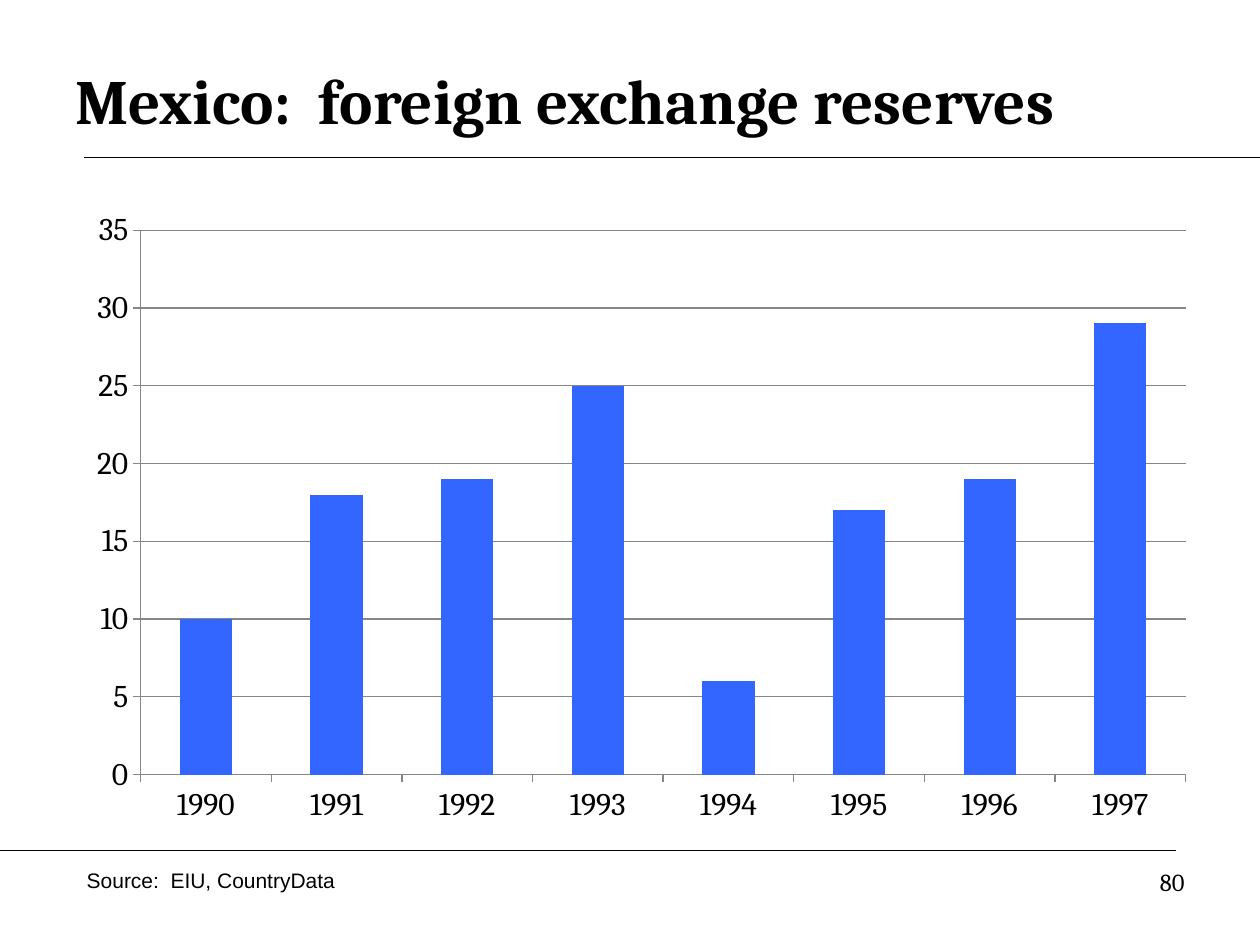
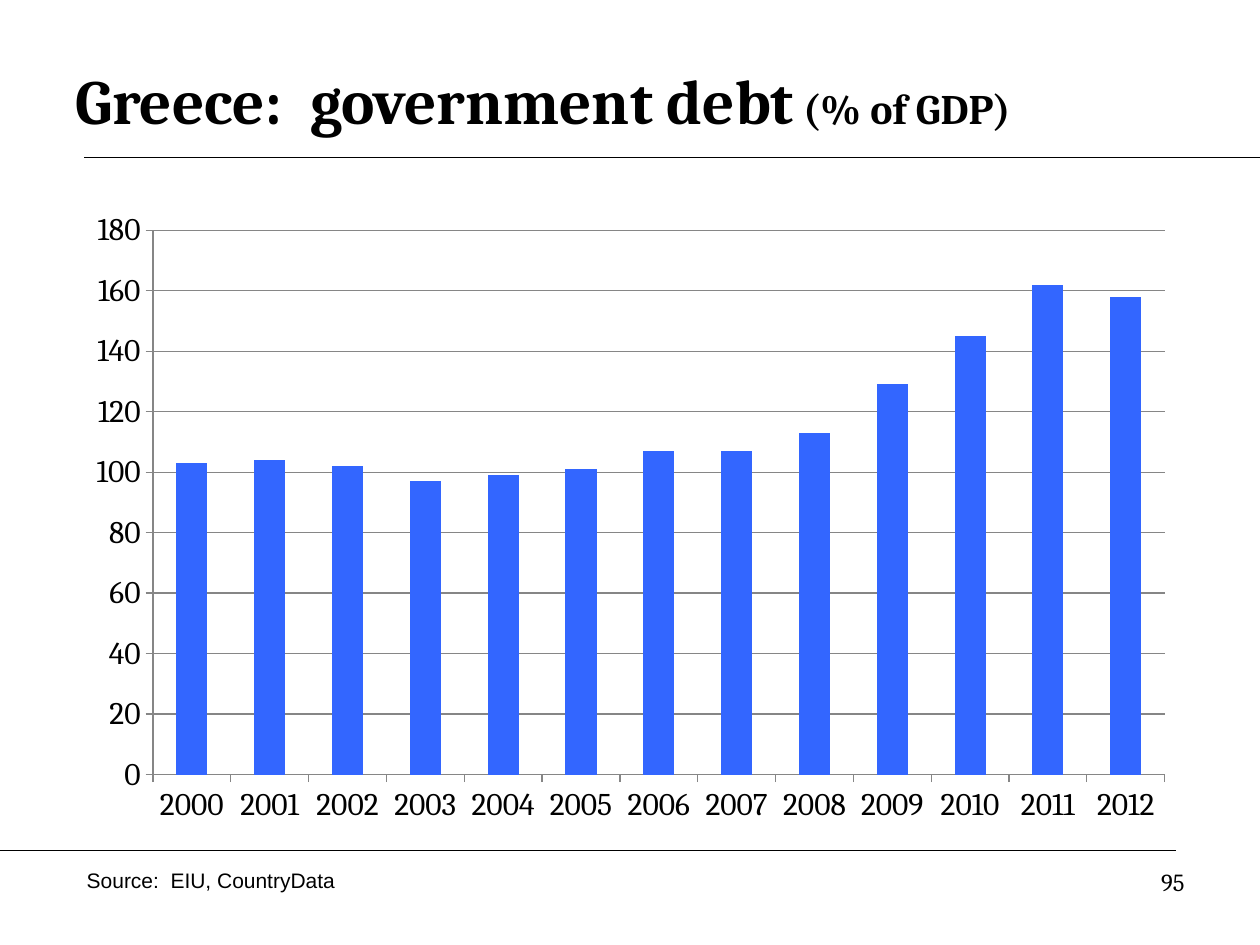
import pptx
import pptx.chart.data
import pptx.dml.color
import pptx.enum.chart
import pptx.enum.shapes
import pptx.enum.text
import pptx.oxml
import pptx.oxml.ns
import pptx.util
from pptx.util import Inches

BLACK = "000000"
BAR_BLUE = "3366FF"
AXIS_GRAY = "868686"
SERIF = "Cambria"
SANS = "Arial"
TITLE_BOX = (0.5, 0.33, 9, 0.92)
NUMBER_BOX = (7.17, 6.83, 2.33, 0.52)
SOURCE_BOX = (0.59, 6.84, 4.83, 0.3)
RULES = [(0.67, 1.25, 10, 1.25), (0, 6.75, 9.33, 6.75)]
SOURCE = "Source:  EIU, CountryData"

SLIDES = [
    {
        "title": [("Mexico:  foreign exchange reserves", 36)],
        "number": 80,
        "chart_box": (0.59, 1.58, 9, 5.06),
        "first_year": 1990,
        "values": [10, 18, 19, 25, 6, 17, 19, 29],
        "maximum": 35,
        "step": 5,
    },
    {
        "title": [("Greece:  government debt", 36), (" (% of GDP)", 24)],
        "number": 95,
        "chart_box": (0.59, 1.58, 8.83, 5.06),
        "first_year": 2000,
        "values": [103, 104, 102, 97, 99, 101, 107, 107, 113, 129, 145, 162, 158],
        "maximum": 180,
        "step": 20,
    },
]


def color(value):
    """Turn a hex string into a colour."""
    return pptx.dml.color.RGBColor.from_string(value)


def add_text(slide, box, runs, font=SERIF, bold=False, align="LEFT", anchor="TOP"):
    """Add a one-paragraph text box from (text, size) runs."""
    frame = slide.shapes.add_textbox(*map(Inches, box)).text_frame
    frame.word_wrap = True
    frame.vertical_anchor = getattr(pptx.enum.text.MSO_ANCHOR, anchor)
    paragraph = frame.paragraphs[0]
    paragraph.alignment = getattr(pptx.enum.text.PP_ALIGN, align)
    for text, size in runs:
        run = paragraph.add_run()
        run.text = text
        run.font.size = pptx.util.Pt(size)
        run.font.name = font
        run.font.bold = bold
        run.font.color.rgb = color(BLACK)


def add_rule(slide, ends):
    """Draw a thin black line between two points."""
    line = slide.shapes.add_connector(
        pptx.enum.shapes.MSO_CONNECTOR.STRAIGHT, *map(Inches, ends))
    line.line.color.rgb = color(BLACK)
    line.line.width = pptx.util.Pt(0.75)
    properties = line._element.spPr
    properties.append(pptx.oxml.parse_xml(
        f"<a:effectLst {pptx.oxml.ns.nsdecls('a')}/>"))


def add_frame(slide, title, number):
    """Place the rules, title, source and slide number."""
    for ends in RULES:
        add_rule(slide, ends)
    add_text(slide, TITLE_BOX, title, bold=True, anchor="MIDDLE")
    add_text(slide, NUMBER_BOX, [(str(number), 14)], align="RIGHT")
    add_text(slide, SOURCE_BOX, [(SOURCE, 12)], font=SANS)


def add_column_chart(slide, box, first_year, values, maximum, step):
    """Add a yearly column chart with gridlines."""
    data = pptx.chart.data.CategoryChartData()
    data.categories = [str(first_year + offset) for offset in range(len(values))]
    data.add_series("Series 1", values)
    chart = slide.shapes.add_chart(
        pptx.enum.chart.XL_CHART_TYPE.COLUMN_CLUSTERED,
        *map(Inches, box), data).chart
    chart.has_legend = False
    chart.has_title = False
    chart.font.name = SERIF
    chart.font.size = pptx.util.Pt(18)
    chart.font.color.rgb = color(BLACK)

    plot = chart.plots[0]
    plot.gap_width = 150
    plot.vary_by_categories = False
    fill = plot.series[0].format.fill
    fill.solid()
    fill.fore_color.rgb = color(BAR_BLUE)

    value_axis = chart.value_axis
    value_axis.minimum_scale = 0
    value_axis.maximum_scale = maximum
    value_axis.major_unit = step
    value_axis.has_major_gridlines = True
    for axis in (chart.category_axis, value_axis):
        axis.major_tick_mark = pptx.enum.chart.XL_TICK_MARK.OUTSIDE
    for part in (chart.category_axis, value_axis, value_axis.major_gridlines):
        part.format.line.color.rgb = color(AXIS_GRAY)
        part.format.line.width = pptx.util.Pt(0.75)


def main():
    """Build and save the presentation."""
    presentation = pptx.Presentation()
    presentation.slide_width = Inches(10)
    presentation.slide_height = Inches(7.5)
    for content in SLIDES:
        slide = presentation.slides.add_slide(presentation.slide_layouts[6])
        add_frame(slide, content["title"], content["number"])
        add_column_chart(slide, content["chart_box"], content["first_year"],
                         content["values"], content["maximum"], content["step"])
    presentation.save("out.pptx")


if __name__ == "__main__":
    main()
